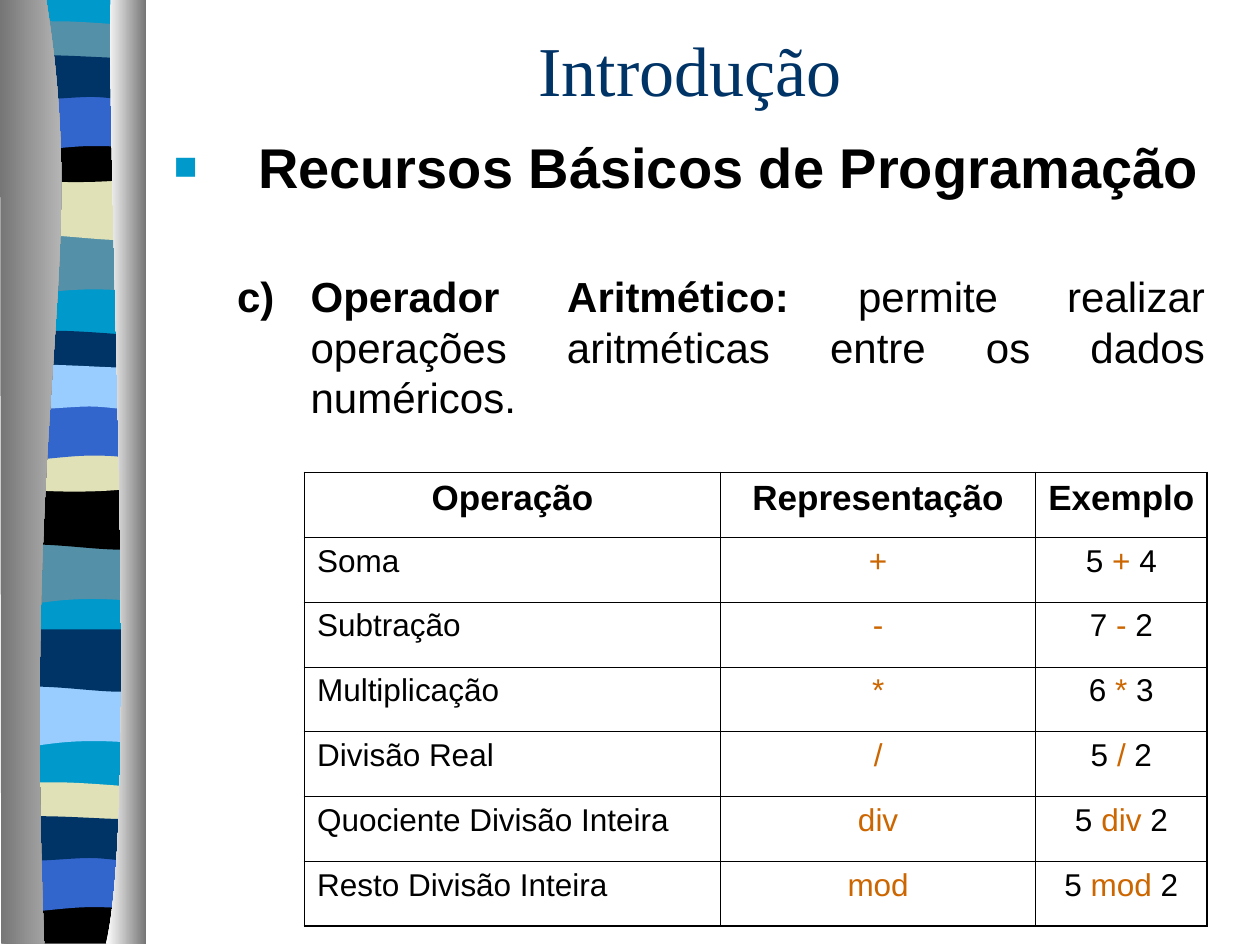
from pptx import Presentation
from pptx.util import Pt
from pptx.dml.color import RGBColor
from pptx.enum.text import PP_ALIGN as AL, MSO_ANCHOR as ANCHOR
from pptx.oxml import parse_xml
from pptx.oxml.ns import nsdecls, qn

BLACK, NAVY, ORANGE = "000000", "003366", "CC6600"
BLUE, SKY, CYAN = "3366CC", "99CCFF", "0099CC"
TEAL, SAND, GREY, WHITE = "5490A8", "E1E1B7", "767676", "FFFFFF"


def rgb(value):
    return RGBColor.from_string(value)


def add_run(p, text, color=BLACK, **formats):
    r = p.add_run()
    r.text = text
    r.font.color.rgb = rgb(color)
    for name, value in ({"name": "Arial", "bold": False} | formats).items():
        setattr(r.font, name, value)


prs = Presentation()
prs.slide_width, prs.slide_height = Pt(720), Pt(540)
s = prs.slides.add_slide(prs.slide_layouts[5])

# Ribbon outlines: two numbers are a line to a point, six are a Bezier curve
L, R = 4.3, 82.1
outlines = {
    "base": [(R, -0.7), (R, 537.8), (L, 537.8), (L, -0.7)],
    "wave": [(R, 133.2), (R, 167), (28.1, 161.3, 17.3, 172.8, L, 167), (L, 133.2)],
    "swell": [(R, 101.5), (R, 135.4), (69.1, 141.1, 28.1, 131, L, 135.4), (L, 101.5)],
    "lens": [(R, 15.1), (R, 32.4), (69.1, 35.3, 17.3, 35.3, L, 32.4), (L, 15.1),
             (8.6, 11.5, 20.9, 12.2, 33.8, 12.2), (46.8, 12.2, 72, 14.4, R, 15.1)],
    "bowl": [(R, 77.8), (R, 100.8), (69.1, 105.1, 17.3, 105.1, L, 100.8), (L, 77.8),
             (51.8, 81.4, 65.5, 77.8, R, 77.8)],
    "foot": [(R, 77.8), (R, 104.4), (L, 104.4), (L, 77.8),
             (51.8, 81.4, 65.5, 77.8, R, 77.8)],
    "arch": [(R, 53.3), (R, 87.1), (69.8, 83.5, 64.8, 83.5, 51.8, 83.5),
             (38.9, 83.5, 15.8, 87.1, L, 87.1), (L, 53.3)],
    "ripple": [(R, 33.1), (R, 55.4), (77, 59, 64.8, 55.4, 51.8, 55.4),
               (38.9, 55.4, 12.2, 59, L, 55.4), (L, 33.1),
               (15.1, 29.5, 56.9, 33.1, 69.8, 33.1)],
    "left edge": [(26.3, -0.7), (51.5, 155.5, 12.6, 213.1, 25.2, 539.3),
                  (0.7, 539.3), (0, -0.7)],
    "right edge": [(63.4, -0.7), (60.5, 90, 79.9, 465.1, 60.5, 539.3),
                   (83.5, 539.3), (83.5, 0)],
}

# Outline, shift right, shift down, one colour or a gradient pair
pieces = [
    ("base", 0, 0, [CYAN]),
    ("wave", 0, 0, [TEAL]), ("swell", 0, 0, [SAND]), ("lens", 0, 0, [TEAL]),
    ("bowl", 0, 0, [BLACK]), ("arch", 0, 0, [BLUE]), ("ripple", 0, 0, [NAVY]),
    ("wave", -0.7, 176.9, [TEAL]), ("swell", -0.7, 176.9, [BLACK]),
    ("lens", -0.7, 176.9, [NAVY]), ("bowl", -0.7, 176.9, [SAND]),
    ("arch", -0.7, 176.9, [BLUE]), ("ripple", -0.7, 176.9, [SKY]),
    ("wave", 0, 258.1, [SKY]), ("swell", 0, 258.1, [NAVY]),
    ("lens", -0.7, 434.9, [SAND]), ("foot", -0.7, 434.9, [BLACK]),
    ("arch", -0.7, 434.9, [BLUE]), ("ripple", -0.7, 434.9, [NAVY]),
    ("left edge", 0, 0, [GREY, "D3D3D3"]), ("right edge", 0, 0, [WHITE, GREY]),
]

# Striped ribbon at the left
ribbon = s.shapes.add_group_shape()
for name, dx, dy, colors in pieces:
    segments = outlines[name]
    points = [(Pt(seg[i] + dx), Pt(seg[i + 1] + dy))
              for seg in segments for i in range(0, len(seg), 2)]
    builder = ribbon.shapes.build_freeform(*points[0])
    builder.add_line_segments(points[1:], close=True)
    sp = builder.convert_to_shape()

    # Join each three control points into one curve
    lines = iter(list(sp.element.iter(qn("a:lnTo"))))
    for seg in segments[1:]:
        line = next(lines)
        if len(seg) == 6:
            curve = parse_xml(f'<a:cubicBezTo {nsdecls("a")}/>')
            line.addprevious(curve)
            for part in (line, next(lines), next(lines)):
                curve.append(part[0])
                part.getparent().remove(part)

    sp.shadow.inherit = False
    sp.line.fill.background()
    if len(colors) == 1:
        sp.fill.solid()
        sp.fill.fore_color.rgb = rgb(colors[0])
    else:
        sp.fill.gradient()
        sp.fill.gradient_angle = 0
        for stop, color in zip(sp.fill.gradient_stops, colors):
            stop.color.rgb = rgb(color)

# Topic and definition
tf = s.shapes.add_textbox(Pt(92.2), Pt(72), Pt(603.4), Pt(455.8)).text_frame
tf.word_wrap = True
topic, definition = tf.paragraphs[0], tf.add_paragraph()
add_run(topic, "Recursos Básicos de Programação", size=Pt(32), bold=True)
add_run(definition, "Operador Aritmético:", size=Pt(24), bold=True)
add_run(definition, " permite realizar operações aritméticas entre os dados numéricos.",
        size=Pt(24))
bullets = [
    (topic, 8, 48.2, 48.2, CYAN, '<a:buSzPct {} val="70000"/>', '<a:buChar {} char="■"/>'),
    (definition, 40.8, 78.2, 42, BLACK, '<a:buSzPct {} val="100000"/>',
     '<a:buAutoNum {} type="alphaLcParenR" startAt="3"/>'),
]
for p, before, margin, hang, color, size, mark in bullets:
    p.alignment = AL.JUSTIFY
    p.space_before = Pt(before)
    pPr = p._p.get_or_add_pPr()
    pPr.set("marL", str(Pt(margin)))
    pPr.set("indent", str(-Pt(hang)))
    for xml in (f'<a:buClr {{}}><a:srgbClr val="{color}"/></a:buClr>', size,
                '<a:buFont {} typeface="Arial"/>', mark):
        pPr.append(parse_xml(xml.format(nsdecls("a"))))

# Title, in front of the ribbon and the text
title = s.shapes.title
title.element.getparent().append(title.element)
title.left, title.top, title.width, title.height = Pt(90), Pt(12.2), Pt(608.4), Pt(54)
title.text_frame.vertical_anchor = ANCHOR.MIDDLE
p = title.text_frame.paragraphs[0]
p.alignment = AL.CENTER
add_run(p, "Introdução", NAVY, name="Times New Roman", size=Pt(40))

# Operator table: operation, symbol, operands
operations = [
    ("Soma", "+", "5", "4"), ("Subtração", "-", "7", "2"),
    ("Multiplicação", "*", "6", "3"), ("Divisão Real", "/", "5", "2"),
    ("Quociente Divisão Inteira", "div", "5", "2"),
    ("Resto Divisão Inteira", "mod", "5", "2"),
]
rows = [[[(head, BLACK)] for head in ("Operação", "Representação", "Exemplo")]]
for label, symbol, a, b in operations:
    rows.append([[(label, BLACK)], [(symbol, ORANGE)],
                 [(a + " ", BLACK), (symbol, ORANGE), (" " + b, BLACK)]])

widths = [237.8, 180, 98]
row_height = 37.03
table = s.shapes.add_table(len(rows), len(widths), Pt(174), Pt(270),
                           Pt(sum(widths)), Pt(row_height * len(rows))).table
table.first_row = table.horz_banding = False
for column, width in zip(table.columns, widths):
    column.width = Pt(width)
for i, row in enumerate(rows):
    table.rows[i].height = Pt(row_height)
    for j, parts in enumerate(row):
        cell = table.cell(i, j)
        p = cell.text_frame.paragraphs[0]
        p.alignment = AL.LEFT if i and j == 0 else AL.CENTER
        p.space_before = Pt(4.5 if i else 5)
        for text, color in parts:
            add_run(p, text, color, size=Pt(18 if i else 20), bold=i == 0)
        outer = {"L": j == 0, "R": j == len(widths) - 1,
                 "T": i == 0, "B": i == len(rows) - 1}
        for side, is_outer in outer.items():
            cell._tc.get_or_add_tcPr().append(parse_xml(
                f'<a:ln{side} {nsdecls("a")} w="{Pt(1.08 if is_outer else 0.45)}">'
                f'<a:solidFill><a:srgbClr val="{BLACK}"/></a:solidFill></a:ln{side}>'))
        cell.fill.background()

prs.save("out.pptx")
